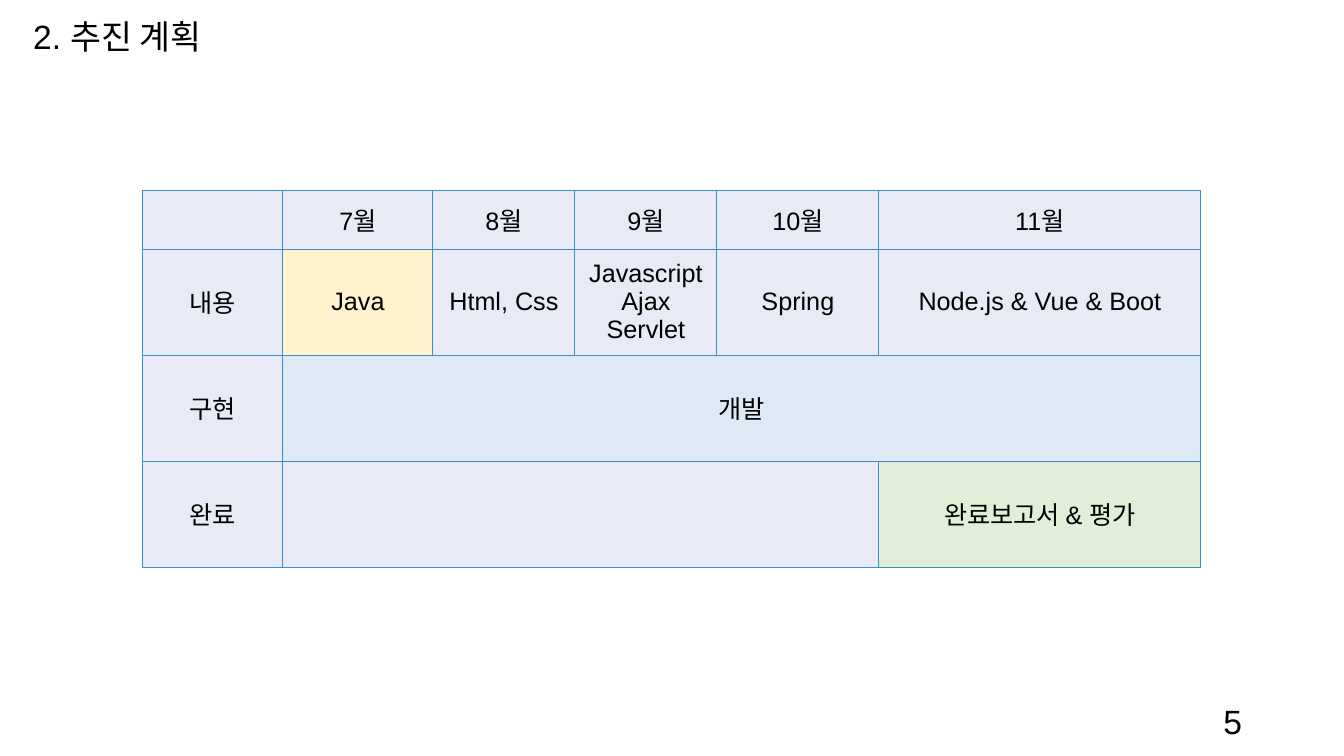
from lxml.etree import SubElement
from pptx import Presentation
from pptx.dml.color import RGBColor
from pptx.enum.text import MSO_ANCHOR as Anchor, MSO_AUTO_SIZE as AutoSize, PP_ALIGN as Align
from pptx.oxml.ns import qn
from pptx.util import Emu, Pt

EMU_PER_PX = 914400 / 100.8
FONT = "Arial"
COLORS = {
    "text": "000000",
    "border": "3491CE",
    "plain": "E8EBF5",
    "java": "FFF2CC",
    "develop": "DDEAF6",
    "report": "E1EFD8",
}
COLUMN_WIDTHS = [141, 150, 142, 142, 162, 254, 68]
ROW_HEIGHTS = [59, 106, 106, 106]
# Each entry: text, number of columns spanned, fill
PLAN = [
    [("", 1, "plain"), ("7월", 1, "plain"), ("8월", 1, "plain"),
     ("9월", 1, "plain"), ("10월", 1, "plain"), ("11월", 2, "plain")],
    [("내용", 1, "plain"), ("Java", 1, "java"), ("Html, Css", 1, "plain"),
     ("Javascript\nAjax\nServlet", 1, "plain"), ("Spring", 1, "plain"),
     ("Node.js & Vue & Boot", 2, "plain")],
    [("구현", 1, "plain"), ("개발", 6, "develop")],
    [("완료", 1, "plain"), ("", 4, "plain"), ("완료보고서 & 평가", 2, "report")],
]


def px(length):
    return Emu(round(length * EMU_PER_PX))


def color(name):
    return RGBColor.from_string(COLORS[name])


def write(frame, text, size=18, align=Align.CENTER, line_spacing=None):
    frame.text = text
    for paragraph in frame.paragraphs:
        paragraph.alignment = align
        if line_spacing:
            paragraph.line_spacing = line_spacing
        for run in paragraph.runs:
            run.font.name = FONT
            run.font.size = Pt(size)
            run.font.color.rgb = color("text")


def add_title(slide, text):
    title = slide.shapes.title
    title.left, title.top, title.width, title.height = map(px, (23, 15, 305, 46))
    frame = title.text_frame
    frame.auto_size = AutoSize.NONE
    frame.word_wrap = True
    frame.vertical_anchor = Anchor.TOP
    write(frame, text, size=24, align=Align.LEFT, line_spacing=0.9)


def add_page_number(slide, number):
    frame = slide.shapes.add_textbox(*map(px, (950, 701, 302, 40))).text_frame
    frame.word_wrap = True
    frame.vertical_anchor = Anchor.MIDDLE
    write(frame, number, size=24, align=Align.RIGHT)


def add_borders(cell):
    properties = cell._tc.get_or_add_tcPr()
    for side in ("a:lnL", "a:lnR", "a:lnT", "a:lnB"):
        line = SubElement(properties, qn(side), w=str(Pt(0.75)))
        fill = SubElement(line, qn("a:solidFill"))
        SubElement(fill, qn("a:srgbClr"), val=COLORS["border"])


def format_cell(cell, fill):
    add_borders(cell)
    cell.fill.solid()
    cell.fill.fore_color.rgb = color(fill)
    cell.vertical_anchor = Anchor.MIDDLE
    cell.margin_left = cell.margin_right = px(5)
    cell.margin_top = cell.margin_bottom = px(1)


def add_plan(slide):
    plan = slide.shapes.add_table(
        len(ROW_HEIGHTS), len(COLUMN_WIDTHS), px(142), px(190),
        px(sum(COLUMN_WIDTHS)), px(sum(ROW_HEIGHTS))).table
    plan.first_row = plan.horz_banding = False
    for column, width in zip(plan.columns, COLUMN_WIDTHS):
        column.width = px(width)
    for row, height in zip(plan.rows, ROW_HEIGHTS):
        row.height = px(height)
    for row_index, entries in enumerate(PLAN):
        start = 0
        for text, span, fill in entries:
            for column_index in range(start, start + span):
                format_cell(plan.cell(row_index, column_index), fill)
            first = plan.cell(row_index, start)
            if span > 1:
                first.merge(plan.cell(row_index, start + span - 1))
            if text:
                write(first.text_frame, text)
            start += span


def main():
    deck = Presentation()
    deck.slide_width, deck.slide_height = px(1344), px(756)
    slide = deck.slides.add_slide(deck.slide_layouts.get_by_name("Title Only"))
    add_title(slide, "2. 추진 계획")
    add_plan(slide)
    add_page_number(slide, "5")
    deck.save("out.pptx")


if __name__ == "__main__":
    main()
